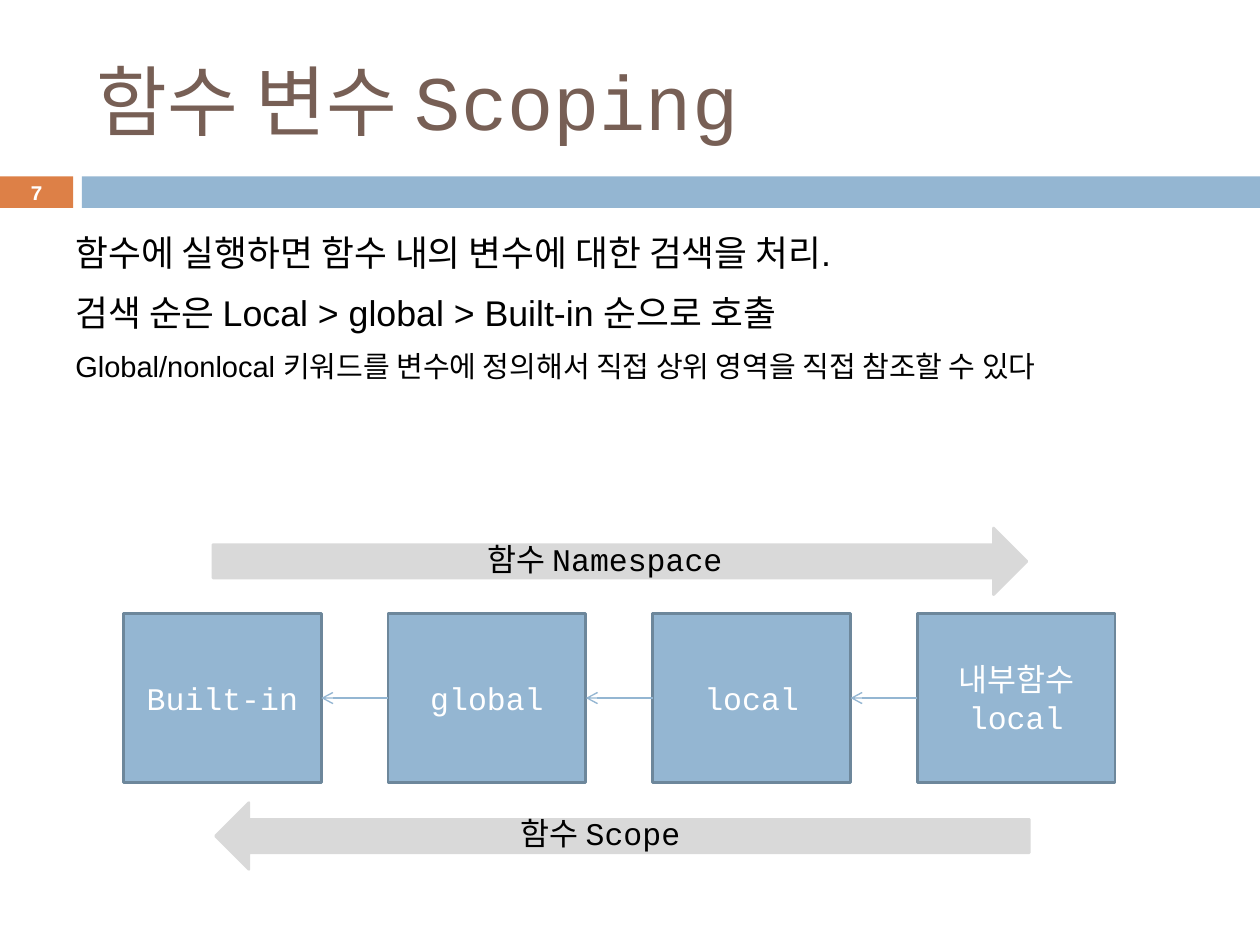
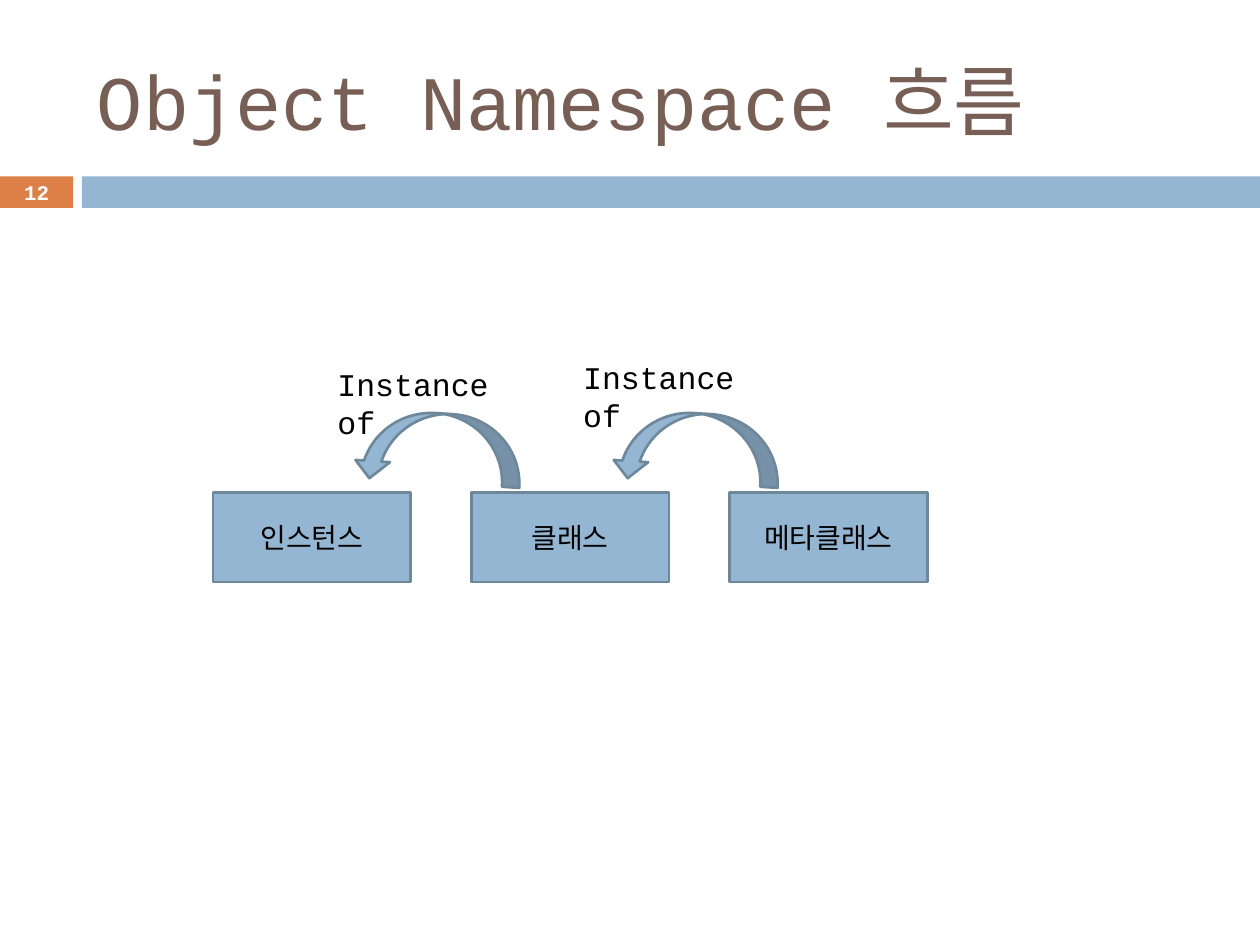
"""Build two slides on Python function scoping and object namespaces."""
from dataclasses import dataclass

from lxml import etree
from pptx import Presentation
from pptx.dml.color import RGBColor
from pptx.enum import shapes, text
from pptx.oxml import ns
from pptx.util import Inches, Pt

BLUE = RGBColor(0x94, 0xB6, 0xD2)
EDGE = RGBColor(0x6D, 0x87, 0x9B)
ORANGE = RGBColor(0xDD, 0x80, 0x47)
BROWN = RGBColor(0x77, 0x5F, 0x55)
GRAY = RGBColor(0xD9, 0xD9, 0xD9)
WHITE = RGBColor(0xFF, 0xFF, 0xFF)
BLACK = RGBColor(0, 0, 0)
MONO, SANS = "Courier New", "Arial"
SHAPE = shapes.MSO_SHAPE
LEFT, CENTER = text.PP_ALIGN.LEFT, text.PP_ALIGN.CENTER
TOP, MIDDLE = text.MSO_ANCHOR.TOP, text.MSO_ANCHOR.MIDDLE


@dataclass(frozen=True)
class Box:
    left: float
    top: float
    width: float
    height: float

    def emu(self) -> list:
        return [Inches(v) for v in (self.left, self.top, self.width, self.height)]


@dataclass(frozen=True)
class Style:
    size: float
    color: RGBColor = BLACK
    font: str = MONO
    bold: bool = False
    align: text.PP_ALIGN = CENTER


TITLE = Style(44, BROWN, align=LEFT)
NUMBER = Style(11.9, WHITE, bold=True)
BODY = Style(20.4, font=SANS, align=LEFT)
BODY_SMALL = Style(16.6, font=SANS, align=LEFT)
SCOPE = Style(18, WHITE)
OBJECT = Style(16)
CAPTION = Style(18)
LABEL = Style(18, align=LEFT)


def write(tf, lines: list[tuple[str, Style]], anchor=TOP) -> None:
    tf.word_wrap = True
    tf.vertical_anchor = anchor
    for i, (line, style) in enumerate(lines):
        p = tf.paragraphs[0] if i == 0 else tf.add_paragraph()
        p.alignment = style.align
        r = p.add_run()
        r.text = line
        r.font.name, r.font.size, r.font.bold = style.font, Pt(style.size), style.bold
        r.font.color.rgb = style.color


def add_text(s, box: Box, lines: list[tuple[str, Style]], anchor=TOP):
    tf = s.shapes.add_textbox(*box.emu()).text_frame
    write(tf, lines, anchor)
    return tf


def add_shape(s, kind, box: Box, fill: RGBColor, line: RGBColor | None = None, rotation: float = 0):
    sp = s.shapes.add_shape(kind, *box.emu())
    sp.shadow.inherit = False
    sp.rotation = rotation
    sp.fill.solid()
    sp.fill.fore_color.rgb = fill
    if line is None:
        sp.line.fill.background()
    else:
        sp.line.color.rgb = line
        sp.line.width = Pt(1.5)
    return sp


def add_node(s, box: Box, label: str, style: Style) -> None:
    sp = add_shape(s, SHAPE.RECTANGLE, box, BLUE, EDGE)
    write(sp.text_frame, [(line, style) for line in label.split("\n")], MIDDLE)


def add_arrow(s, start: float, end: float, y: float) -> None:
    c = s.shapes.add_connector(
        shapes.MSO_CONNECTOR.STRAIGHT, Inches(start), Inches(y), Inches(end), Inches(y))
    c.line.color.rgb = BLUE
    c.line.width = Pt(0.79)
    etree.SubElement(c.line._get_or_add_ln(), ns.qn("a:tailEnd"), type="arrow")
    etree.SubElement(c._element.spPr, ns.qn("a:effectLst"))


def add_slide(prs, title: str, number: int):
    s = prs.slides.add_slide(prs.slide_layouts[6])
    add_shape(s, SHAPE.RECTANGLE, Box(0, 1.4, 0.58, 0.25), ORANGE)
    add_shape(s, SHAPE.RECTANGLE, Box(0.65, 1.4, 9.35, 0.25), BLUE)
    add_text(s, Box(0.67, 0.25, 8.92, 1.08), [(title, TITLE)], MIDDLE)
    add_text(s, Box(0, 1.39, 0.58, 0.27), [(str(number), NUMBER)], MIDDLE)
    return s


def build_scoping(prs) -> None:
    s = add_slide(prs, "함수 변수 Scoping", 7)
    body = add_text(s, Box(0.5, 1.75, 9, 1.37), [
        ("함수에 실행하면 함수 내의 변수에 대한 검색을 처리.", BODY),
        ("검색 순은 Local > global > Built-in 순으로 호출", BODY),
        ("Global/nonlocal 키워드를 변수에 정의해서 직접 상위 영역을 직접 참조할 수 있다", BODY_SMALL),
    ])
    for p in body.paragraphs:
        p.line_spacing, p.space_before = 1.1, Pt(7)

    left, top, width, height, pitch = 0.98, 4.87, 1.57, 1.34, 2.1
    for i, label in enumerate(["Built-in", "global", "local", "내부함수\nlocal"]):
        x = left + i * pitch
        add_node(s, Box(x, top, width, height), label, SCOPE)
        if i:
            add_arrow(s, x, x - pitch + width, top + height / 2)

    add_shape(s, SHAPE.RIGHT_ARROW, Box(1.69, 4.19, 6.46, 0.53), GRAY, GRAY)
    add_shape(s, SHAPE.RIGHT_ARROW, Box(1.71, 6.37, 6.46, 0.53), GRAY, GRAY, 180)
    add_text(s, Box(3.03, 4.24, 3.54, 0.4), [("함수 Namespace", CAPTION)])
    add_text(s, Box(3.74, 6.41, 2.2, 0.4), [("함수 Scope ", CAPTION)])


def build_namespace(prs) -> None:
    s = add_slide(prs, "Object Namespace 흐름", 12)
    pitch = 2.05
    for i, label in enumerate(["인스턴스", "클래스", "메타클래스"]):
        add_node(s, Box(1.69 + i * pitch, 3.91, 1.57, 0.71), label, OBJECT)
    for i in range(2):
        box = Box(2.81 + i * pitch, 3.28, 1.33, 0.55)
        add_shape(s, SHAPE.CURVED_UP_ARROW, box, BLUE, EDGE, 183.7)
    for x, y in [(2.58, 2.85), (4.53, 2.79)]:
        add_text(s, Box(x, y, 1.57, 0.4), [("Instance of", LABEL)])


def main() -> None:
    prs = Presentation()
    prs.slide_width, prs.slide_height = Inches(10), Inches(7.5)
    build_scoping(prs)
    build_namespace(prs)
    prs.save("out.pptx")


main()
